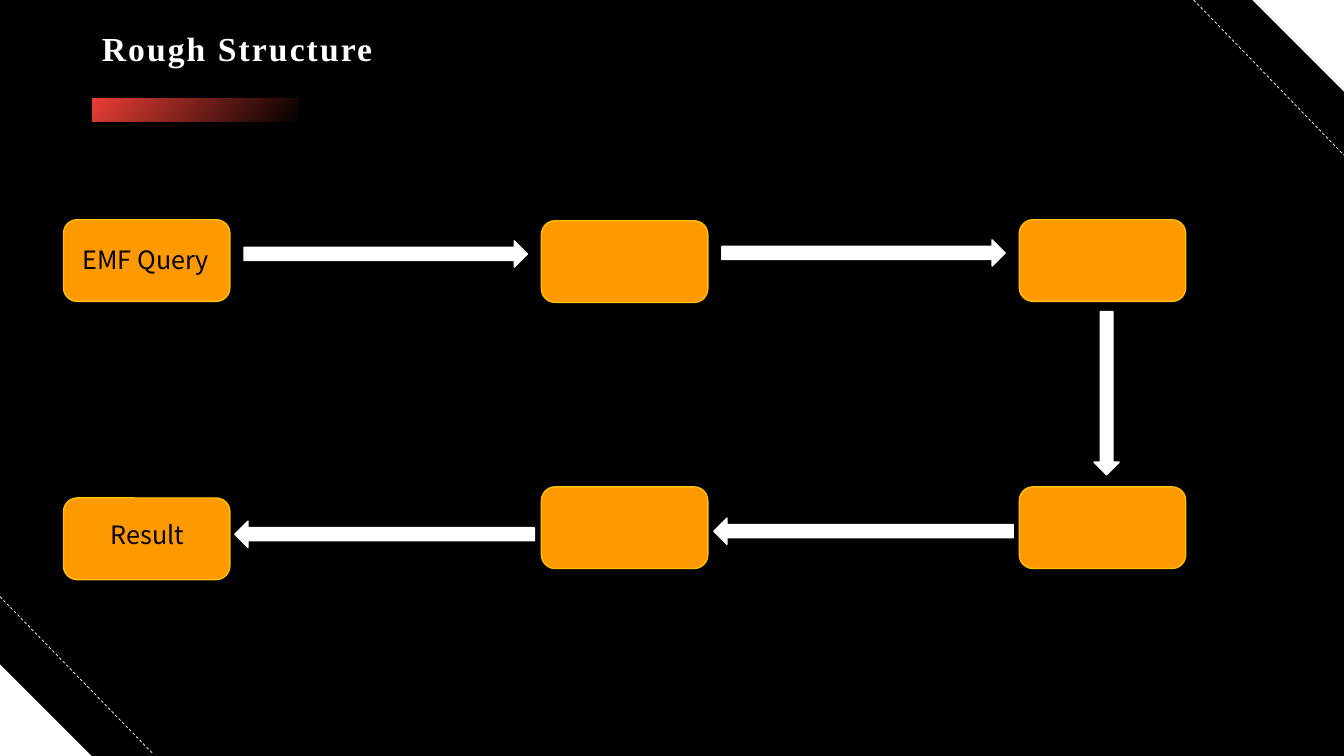
import pptx
import pptx.dml.color
import pptx.enum.dml
import pptx.enum.shapes
import pptx.enum.text
import pptx.util
import lxml.etree

PX = 9144  # 100 px to the inch
WIDTH, HEIGHT = 1333, 750
DRAWING = "{http://schemas.openxmlformats.org/drawingml/2006/main}"
SHAPE = pptx.enum.shapes.MSO_SHAPE
ALIGN = pptx.enum.text.PP_ALIGN


def rgb(code):
    return pptx.dml.color.RGBColor.from_string(code)


def add_block(kind, left, top, width, height, fill=None, line=None):
    """Add a preset shape; without a line colour it has no outline."""
    block = page.shapes.add_shape(kind, left * PX, top * PX, width * PX, height * PX)
    block.shadow.inherit = False
    if fill:
        block.fill.solid()
        block.fill.fore_color.rgb = rgb(fill)
    if line:
        block.line.color.rgb = rgb(line)
        block.line.width = pptx.util.Pt(1)
    else:
        block.line.fill.background()
    return block


deck = pptx.Presentation()
deck.slide_width, deck.slide_height = WIDTH * PX, HEIGHT * PX
page = deck.slides.add_slide(deck.slide_layouts[5])
page.background.fill.solid()
page.background.fill.fore_color.rgb = rgb("000000")

# Corner triangles and dashed lines
CORNER = 91
add_block(SHAPE.RIGHT_TRIANGLE, 0, HEIGHT - CORNER, CORNER, CORNER, "FFFFFF")
add_block(SHAPE.RIGHT_TRIANGLE, WIDTH - CORNER, 0, CORNER, CORNER, "FFFFFF").rotation = 180

for ends in [(0, 592, 152, 748), (1184, 0, 1333, 154)]:
    dashes = page.shapes.add_connector(
        pptx.enum.shapes.MSO_CONNECTOR.STRAIGHT, *[end * PX for end in ends])
    dashes.line.color.rgb = rgb("FFFFFF")
    dashes.line.width = pptx.util.Pt(0.5)
    dashes.line.dash_style = pptx.enum.dml.MSO_LINE.DASH
    lxml.etree.SubElement(dashes._element.spPr, DRAWING + "effectLst")

# Red bar fading out under the title
bar = add_block(SHAPE.RECTANGLE, 92, 98, 204, 23)
bar.fill.gradient()
bar.fill.gradient_angle = 320
for stop in bar.fill.gradient_stops:
    stop.color.rgb = rgb("EE4036")
clear_colour = list(bar._element.spPr.iter(DRAWING + "srgbClr"))[-1]
lxml.etree.SubElement(clear_colour, DRAWING + "alpha", val="0")

# Title
title = page.shapes.title
title_place = {"left": 91, "top": 18, "width": 1151, "height": 64}
for name, value in title_place.items():
    setattr(title, name, value * PX)
title.text_frame.text = "Rough Structure"
title.text_frame.vertical_anchor = pptx.enum.text.MSO_ANCHOR.MIDDLE
para = title.text_frame.paragraphs[0]
para.alignment = ALIGN.LEFT
para.line_spacing = 0.9
span = para.runs[0]
title_format = {"name": "Times New Roman", "size": pptx.util.Pt(24), "bold": True}
for name, value in title_format.items():
    setattr(span.font, name, value)
span.font.color.rgb = rgb("FFFFFF")
span._r.get_or_add_rPr().set("spc", "150")

# Steps: three columns, tops listed from left to right
COLUMN_LEFT, COLUMN_STEP = 63, 474
for tops in [(218, 219, 218), (494, 483, 483)]:
    for column, top in enumerate(tops):
        add_block(SHAPE.ROUNDED_RECTANGLE, COLUMN_LEFT + column * COLUMN_STEP, top,
                  165, 81, "FF9900", "FFC000")

# Arrows between the steps
for kind, *place in [
    (SHAPE.RIGHT_ARROW, 242, 239, 281, 26),
    (SHAPE.RIGHT_ARROW, 716, 238, 281, 26),
    (SHAPE.DOWN_ARROW, 1085, 309, 25, 162),
    (SHAPE.LEFT_ARROW, 708, 514, 297, 26),
    (SHAPE.LEFT_ARROW, 233, 517, 297, 26),
]:
    add_block(kind, *place, "FFFFFF", "FFFFFF")

# Labels on the first and last step
label_format = {"name": "Noto Sans CJK JP", "size": pptx.util.Pt(18)}
for text, left, top, align in [
    ("EMF Query", 72, 237, ALIGN.LEFT),
    ("Result", 68, 510, ALIGN.CENTER),
]:
    label = page.shapes.add_textbox(left * PX, top * PX, 157 * PX, 40 * PX)
    label.text_frame.word_wrap = True
    label.text_frame.text = text
    para = label.text_frame.paragraphs[0]
    para.alignment = align
    for name, value in label_format.items():
        setattr(para.runs[0].font, name, value)
    para.runs[0].font.color.rgb = rgb("000000")

deck.save("out.pptx")
